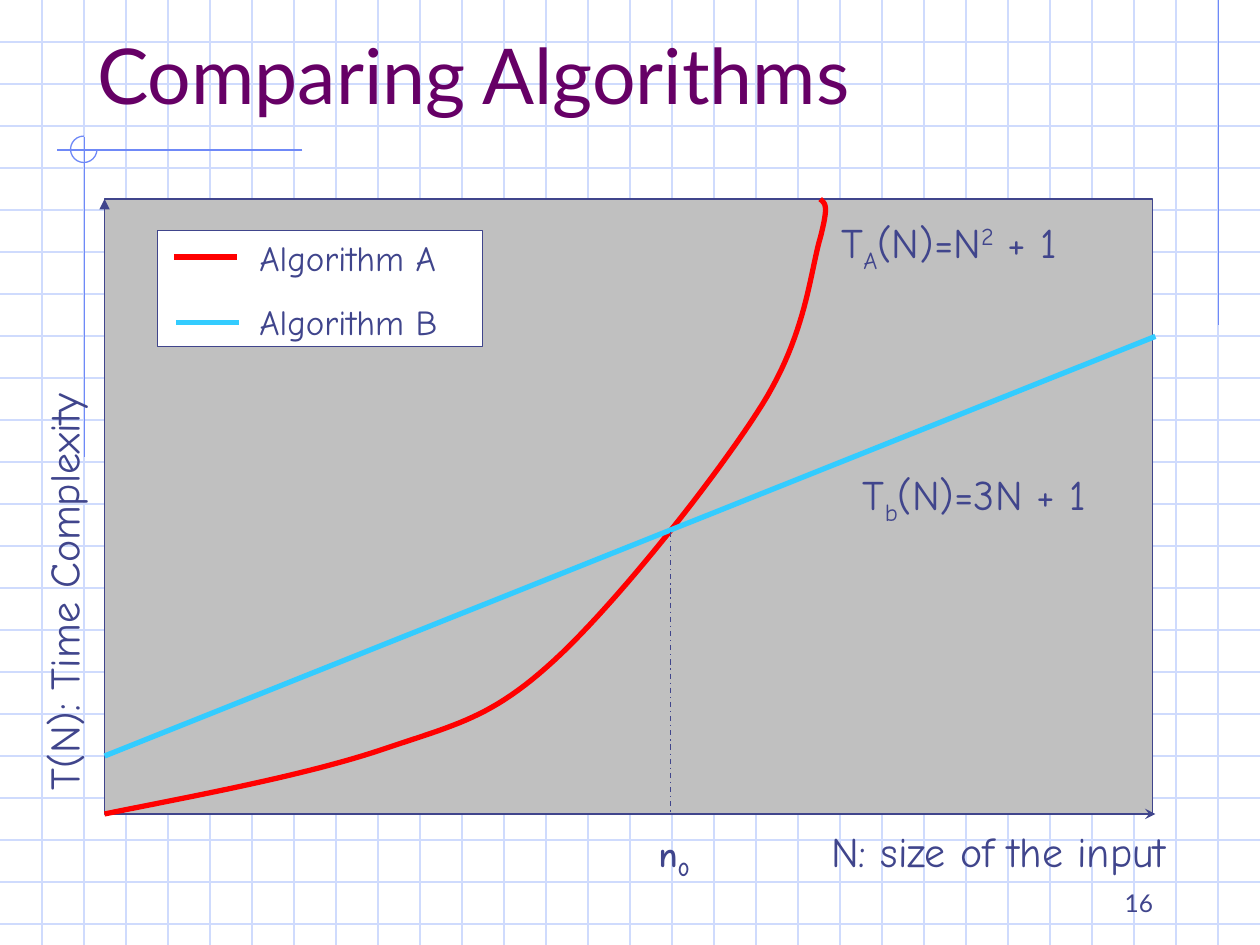
from dataclasses import dataclass
from itertools import pairwise

from lxml.etree import SubElement
from pptx import Presentation
from pptx.dml.color import RGBColor as RGB
from pptx.enum.dml import MSO_LINE as DASH
from pptx.enum.shapes import MSO_CONNECTOR as CONN, MSO_SHAPE as SHAPE
from pptx.enum.text import MSO_ANCHOR as ANCHOR, MSO_AUTO_SIZE as FIT, PP_ALIGN as ALIGN
from pptx.oxml.ns import qn
from pptx.util import Inches, Pt


@dataclass(frozen=True)
class Theme:
    grid: RGB = RGB.from_string("CFDBFD")
    accent: RGB = RGB.from_string("6F89F7")
    ink: RGB = RGB.from_string("40458C")
    title: RGB = RGB.from_string("660066")
    plot: RGB = RGB.from_string("C0C0C0")
    white: RGB = RGB.from_string("FFFFFF")
    algo_a: RGB = RGB.from_string("FF0000")
    algo_b: RGB = RGB.from_string("33CCFF")
    heading_font: str = "Lato"
    body_font: str = "Comic Neue"
    heading_size: int = 44
    label_size: int = 24
    small_size: int = 20
    number_size: int = 14
    thin: float = 0.75
    thick: float = 3


T = Theme()
WIDTH, HEIGHT, GRID_STEP = 10, 7.5, 1 / 3
LEFT, RIGHT, TOP, BOTTOM = 0.83, 9.17, 1.58, 6.46
CURVE_START = (LEFT, BOTTOM)
CURVE_SEGMENTS = [
    ((1.63, 6.3), (2.43, 6.15), (3.03, 5.95)),
    ((3.62, 5.75), (3.9, 5.7), (4.4, 5.24)),
    ((4.9, 4.78), (5.7, 3.77), (6.05, 3.21)),
    ((6.4, 2.65), (6.43, 2.16), (6.51, 1.89)),
    ((6.58, 1.62), (6.55, 1.62), (6.51, TOP)),
]


def set_attrs(obj, **values):
    for name, value in values.items():
        setattr(obj, name, value)


def add_line(s, start, end, color, width=T.thin, dash=None, arrow=None):
    sp = s.shapes.add_connector(CONN.STRAIGHT, *map(Inches, (*start, *end)))
    sp.line.color.rgb = color
    sp.line.width = Pt(width)
    if dash:
        sp.line.dash_style = dash
    props = sp.element.spPr
    if arrow:
        SubElement(props.find(qn("a:ln")), qn("a:tailEnd"), type=arrow)
    SubElement(props, qn("a:effectLst"))


def style_shape(sp, fill, color, width=T.thin):
    sp.shadow.inherit = False
    if fill is None:
        sp.fill.background()
    else:
        sp.fill.solid()
        sp.fill.fore_color.rgb = fill
    sp.line.color.rgb = color
    sp.line.width = Pt(width)


def add_shape(s, kind, box, fill, color):
    sp = s.shapes.add_shape(kind, *map(Inches, box))
    style_shape(sp, fill, color)
    return sp


def add_curve(s, start, segments, color, steps=24):
    ends = [start] + [seg[-1] for seg in segments]
    points = []
    for (p0, _), (p1, p2, p3) in zip(pairwise(ends), segments):
        for t in (i / steps for i in range(1, steps + 1)):
            u = 1 - t
            points.append(tuple(
                Inches(u**3 * a + 3 * u * u * t * b + 3 * u * t * t * c + t**3 * d)
                for a, b, c, d in zip(p0, p1, p2, p3)))
    builder = s.shapes.build_freeform(*map(Inches, start), scale=1.0)
    builder.add_line_segments(points, close=False)
    style_shape(builder.convert_to_shape(), None, color, T.thick)


def add_run(p, text, baseline=0, **font):
    r = p.add_run()
    r.text = text
    set_attrs(r.font, **font)
    if baseline:
        r.font._element.set("baseline", str(baseline * 1000))


def add_label(s, box, paragraphs, size=T.label_size, rotation=0):
    sp = s.shapes.add_textbox(*map(Inches, box))
    sp.rotation = rotation
    tf = sp.text_frame
    set_attrs(tf, word_wrap=True, auto_size=FIT.SHAPE_TO_FIT_TEXT)
    for i, runs in enumerate(paragraphs):
        p = tf.add_paragraph() if i else tf.paragraphs[0]
        p.space_before = Pt(size * 0.625)
        for text, baseline, bold in runs:
            add_run(p, text, baseline, name=T.body_font, size=Pt(size), bold=bold)
            p.runs[-1].font.color.rgb = T.ink


def plain(text):
    return [(text, 0, False)]


def add_background(s):
    for i in range(1, int(HEIGHT / GRID_STEP) + 1):
        add_line(s, (0, i * GRID_STEP), (WIDTH, i * GRID_STEP), T.grid)
    for i in range(1, round(WIDTH / GRID_STEP)):
        add_line(s, (i * GRID_STEP, 0), (i * GRID_STEP, HEIGHT), T.grid)
    add_line(s, (9.67, 0), (9.67, 2.58), T.accent)
    add_line(s, (2.4, 1.19), (0.45, 1.19), T.accent)
    add_line(s, (0.67, 1.09), (0.67, 3.63), T.accent)
    arc = add_shape(s, SHAPE.ARC, (0.56, 1.08, 0.21, 0.21), None, T.accent)
    arc.adjustments[0] = 0
    arc.adjustments[1] = 162


def add_heading(s, text):
    sp = s.shapes.title
    set_attrs(sp, left=Inches(0.67), top=Inches(0.33), width=Inches(9), height=Inches(0.67))
    set_attrs(sp.text_frame, vertical_anchor=ANCHOR.BOTTOM, auto_size=FIT.NONE)
    p = sp.text_frame.paragraphs[0]
    p.alignment = ALIGN.LEFT
    add_run(p, text, name=T.heading_font, size=Pt(T.heading_size))
    p.runs[0].font.color.rgb = T.title
    sp.element.getparent().append(sp.element)


def add_number(s, text):
    tf = s.shapes.add_textbox(*map(Inches, (7.17, 7.08, 2.08, 0.25))).text_frame
    set_attrs(tf, word_wrap=True, vertical_anchor=ANCHOR.BOTTOM)
    p = tf.paragraphs[0]
    p.alignment = ALIGN.RIGHT
    add_run(p, text, name=T.heading_font, size=Pt(T.number_size))
    p.runs[0].font.color.rgb = T.ink


def add_legend(s):
    add_shape(s, SHAPE.RECTANGLE, (1.25, 1.83, 2.58, 0.92), T.white, T.ink)
    add_label(s, (1.96, 1.83, 2, 0.94),
              [plain("Algorithm A"), plain("Algorithm B")], T.small_size)
    for x, y, color in ((1.38, 2.04, T.algo_a), (1.4, 2.56, T.algo_b)):
        add_line(s, (x, y), (x + 0.5, y), color, T.thick)


def add_plot(s):
    add_label(s, (-1.79, 3.83, 4.58, 0.5), [plain("T(N): Time Complexity")], rotation=270)
    add_label(s, (6.5, 6.5, 3.5, 0.5), [plain("N: size of the input")])
    add_shape(s, SHAPE.RECTANGLE, (LEFT, TOP, 8.32, BOTTOM - TOP), T.plot, T.ink)
    add_curve(s, CURVE_START, CURVE_SEGMENTS, T.algo_a)
    add_line(s, (LEFT, 6), (RIGHT, 2.67), T.algo_b, T.thick)
    add_line(s, (5.32, 4.22), (5.32, BOTTOM), T.ink, dash=DASH.DASH_DOT)
    add_label(s, (5.13, 6.56, 0.73, 0.48), [[("n", 0, True), ("0", -25, True)]], T.small_size)
    add_legend(s)
    add_line(s, (8.67, BOTTOM), (RIGHT, BOTTOM), T.ink, arrow="stealth")
    add_line(s, (LEFT, 2.25), (LEFT, TOP), T.ink, arrow="triangle")
    add_label(s, (6.58, 1.67, 2.33, 0.56), [[
        ("T", 0, False), ("A", -25, False), ("(N)=N", 0, False),
        ("2", 30, False), (" + 1", 0, False)]])
    add_label(s, (6.75, 3.67, 2.33, 0.56), [[
        ("T", 0, False), ("b", -25, False), ("(N)=3N + 1", 0, False)]])


def main():
    prs = Presentation()
    set_attrs(prs, slide_width=Inches(WIDTH), slide_height=Inches(HEIGHT))
    s = prs.slides.add_slide(prs.slide_layouts[5])
    add_background(s)
    add_number(s, "16")
    add_heading(s, "Comparing Algorithms")
    add_plot(s)
    prs.save("out.pptx")


if __name__ == "__main__":
    main()
